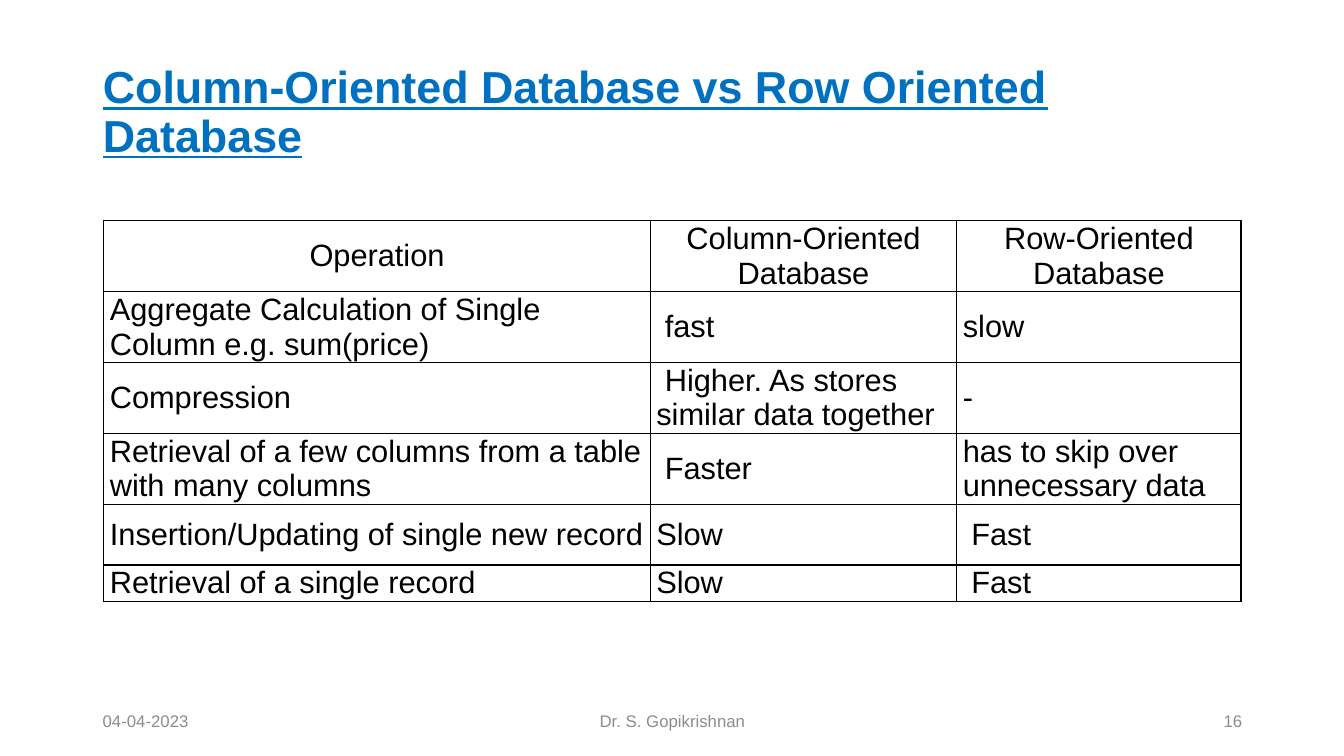
"""Build a slide comparing column-oriented and row-oriented databases."""
from lxml import etree
from pptx import Presentation
from pptx.dml.color import RGBColor
from pptx.enum.text import MSO_ANCHOR, PP_ALIGN
from pptx.oxml.ns import qn
from pptx.util import Inches, Pt

LEFT, MID, RIGHT = PP_ALIGN.LEFT, PP_ALIGN.CENTER, PP_ALIGN.RIGHT
CENTRE = MSO_ANCHOR.MIDDLE
BLUE = RGBColor(0x00, 0x70, 0xC0)
BLACK = RGBColor(0x00, 0x00, 0x00)
GREY = RGBColor(0x8C, 0x8C, 0x8C)
FONT = "Arial"

TITLE = "Column-Oriented Database vs Row Oriented Database"
ROWS = [
    ("Operation", "Column-Oriented Database", "Row-Oriented Database"),
    ("Aggregate Calculation of Single Column e.g. sum(price)", " fast", "slow"),
    ("Compression", " Higher. As stores similar data together", "-"),
    ("Retrieval of a few columns from a table with many columns", " Faster",
     "has to skip over unnecessary data"),
    ("Insertion/Updating of single new record", "Slow", " Fast"),
    ("Retrieval of a single record", "Slow", " Fast"),
]
FOOT = [("04-04-2023", 3, LEFT), ("Dr. S. Gopikrishnan", 4.5, MID), ("16", 3, RIGHT)]

WIDE, HIGH = 13.33, 7.5
EDGE = 0.92
GAP = 0.5
COLS = (5.42, 3.04, 2.82)
TALL = (0.3, 0.6, 0.6, 0.6, 0.6, 0.3)


def write(frame, text, size, color, align=LEFT):
    frame.word_wrap = True
    para = frame.paragraphs[0]
    para.alignment = align
    run = para.add_run()
    run.text = text
    font = run.font
    font.name, font.size = FONT, Pt(size)
    font.color.rgb = color
    return para


def border(cell):
    props = cell._tc.get_or_add_tcPr()
    for spot, side in enumerate(("a:lnL", "a:lnR", "a:lnT", "a:lnB")):
        line = etree.Element(qn(side), w=str(Pt(1)))
        fill = etree.SubElement(line, qn("a:solidFill"))
        etree.SubElement(fill, qn("a:srgbClr"), val=str(BLACK))
        props.insert(spot, line)


def add_title(slide):
    title = slide.shapes.title
    title.left, title.top = Inches(EDGE), Inches(0.4)
    title.width, title.height = Inches(WIDE - 2 * EDGE), Inches(1.45)
    title.text_frame.vertical_anchor = CENTRE
    para = write(title.text_frame, TITLE, 32, BLUE)
    para.line_spacing = 0.9
    font = para.runs[0].font
    font.bold = font.underline = True


def add_grid(slide):
    frame = slide.shapes.add_table(
        len(ROWS), len(COLS), Inches(1.03), Inches(2.19),
        Inches(sum(COLS)), Inches(sum(TALL)))
    table = frame.table
    table.first_row = table.horz_banding = False
    for col, width in zip(table.columns, COLS):
        col.width = Inches(width)
    for r, texts in enumerate(ROWS):
        table.rows[r].height = Inches(TALL[r])
        for c, text in enumerate(texts):
            cell = table.cell(r, c)
            cell.fill.background()
            cell.vertical_anchor = CENTRE
            cell.margin_left = cell.margin_right = Inches(0.06)
            cell.margin_top = cell.margin_bottom = Inches(0.01)
            write(cell.text_frame, text, 22, BLACK, LEFT if r else MID)
            border(cell)


def add_foot(slide):
    left = EDGE
    for text, width, align in FOOT:
        box = slide.shapes.add_textbox(
            Inches(left), Inches(6.95), Inches(width), Inches(0.4))
        box.text_frame.vertical_anchor = CENTRE
        write(box.text_frame, text, 12, GREY, align)
        left += width + GAP


def main():
    deck = Presentation()
    deck.slide_width, deck.slide_height = Inches(WIDE), Inches(HIGH)
    slide = deck.slides.add_slide(deck.slide_layouts[5])
    add_title(slide)
    add_grid(slide)
    add_foot(slide)
    deck.save("out.pptx")


if __name__ == "__main__":
    main()
